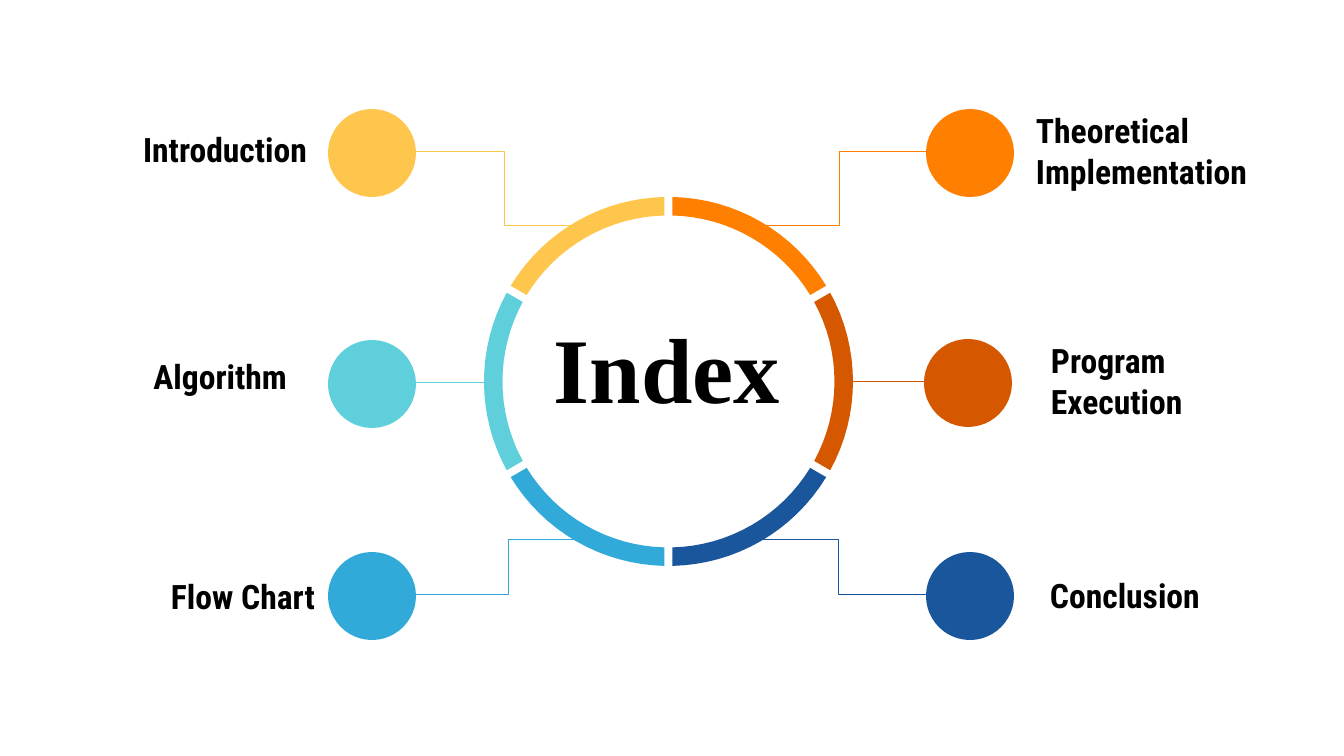
import math
import pptx
import pptx.util
import pptx.dml.color
import pptx.enum.shapes
import pptx.enum.text
import pptx.oxml

PX = 914400 / 100.8  # EMU per pixel
COLORS = {
    "yellow": "FFC64E", "teal": "5FD0DB", "sky": "32AAD9",
    "orange": "FF8001", "rust": "D55800", "navy": "1A569C", "black": "000000",
}
ALIGN = pptx.enum.text.PP_ALIGN


def emu(*values):
    return [round(v * PX) for v in values]


def rgb(name):
    return pptx.dml.color.RGBColor.from_string(COLORS[name])


def paint(sp, color):
    sp.shadow.inherit = False
    sp.fill.solid()
    sp.fill.fore_color.rgb = rgb(color)
    sp.line.fill.background()


def add_text(s, box, text, size=24, font="Roboto Condensed", align=ALIGN.LEFT, inset=13):
    tf = s.shapes.add_textbox(*emu(*box)).text_frame
    tf.word_wrap = True
    tf.vertical_anchor = pptx.enum.text.MSO_ANCHOR.MIDDLE
    tf.margin_left = tf.margin_right = tf.margin_top = tf.margin_bottom = emu(inset)[0]
    for i, line in enumerate(text.split("\n")):
        p = tf.paragraphs[0] if i == 0 else tf.add_paragraph()
        p.alignment = align
        r = p.add_run()
        r.text = line
        r.font.name = font
        r.font.size = pptx.util.Pt(size)
        r.font.bold = True
        r.font.color.rgb = rgb("black")


def add_link(s, start, end, color):
    kinds = pptx.enum.shapes.MSO_CONNECTOR
    kind = kinds.STRAIGHT if start[1] == end[1] else kinds.ELBOW
    cx = s.shapes.add_connector(kind, *emu(*start, *end))
    cx.line.color.rgb = rgb(color)
    cx.line.width = pptx.util.Pt(0.75)
    cx._element.spPr.append(pptx.oxml.parse_xml(
        '<a:effectLst xmlns:a="http://schemas.openxmlformats.org/drawingml/2006/main"/>'))


def topic(s, box, text, color, joint, label):
    """Circle in box; joint and label are offsets from its top left corner."""
    x, y, w, h = box
    on_left = joint[0] > 0
    edge = (x + w if on_left else x, y + 43)
    add_link(s, (x + joint[0], y + joint[1]), edge, color)
    paint(s.shapes.add_shape(pptx.enum.shapes.MSO_SHAPE.OVAL, *emu(*box)), color)
    dx, dy, lw, lh = label
    add_text(s, (x + dx, y + dy, lw, lh), text,
             align=ALIGN.RIGHT if on_left else ALIGN.LEFT)


def ring(s, box, colors, band=18.5, gap=8, steps=16):
    """Equal arcs, clockwise from the top, parted by gaps of even width."""
    x, y, w, h = box
    cx, cy, outer = x + w / 2, y + h / 2, w / 2
    sweep = 2 * math.pi / len(colors)

    def arc(radius, first):
        trim = math.asin(gap / 2 / radius)
        angles = [first + trim + (sweep - 2 * trim) * i / steps for i in range(steps + 1)]
        return [tuple(emu(cx + radius * math.sin(a), cy - radius * math.cos(a)))
                for a in angles]

    for i, color in enumerate(colors):
        points = arc(outer, i * sweep) + arc(outer - band, i * sweep)[::-1]
        fb = s.shapes.build_freeform(*points[0])
        fb.add_line_segments(points[1:], close=True)
        paint(fb.convert_to_shape(), color)


def title(s, box):
    add_text(s, box, "Index", size=66, font="Times New Roman", align=ALIGN.CENTER, inset=0)


prs = pptx.Presentation()
prs.slide_width, prs.slide_height = emu(1344, 756)
s = prs.slides.add_slide(prs.slide_layouts[6])

# Topics: circle corner, text, colour, joint offset, label offset and size
TOPICS = [
    (328, 109, "Introduction", "yellow", (265, 117), (-244, 24, 236, 33)),
    (328, 340, "Algorithm", "teal", (164, 43), (-220, 20, 192, 33)),
    (328, 552, "Flow Chart", "sky", (273, -12), (-230, 28, 230, 33)),
    (926, 109, "Theoretical Implementation", "orange", (-172, 117), (97, -1, 285, 85)),
    (924, 339, "Program\nExecution", "rust", (-77, 43), (114, 25, 220, 33)),
    (926, 552, "Conclusion", "navy", (-174, -12), (111, 27, 227, 33)),
]
for x, y, text, color, joint, label in TOPICS:
    topic(s, (x, y, 88, 88), text, color, joint, label)

# Centre ring and title
ring(s, (484, 197, 369, 369), ["orange", "rust", "navy", "sky", "teal", "yellow"])
title(s, (62, 314, 1210, 106))

prs.save("out.pptx")
